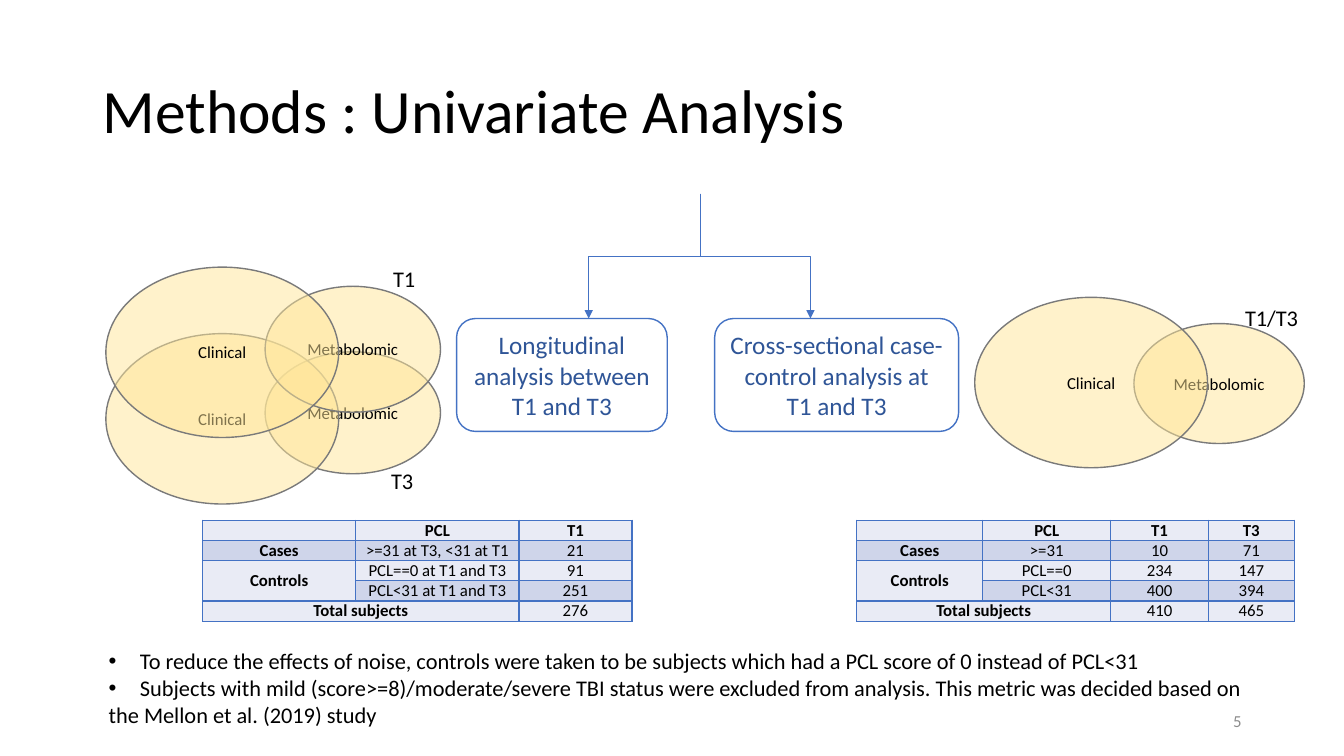
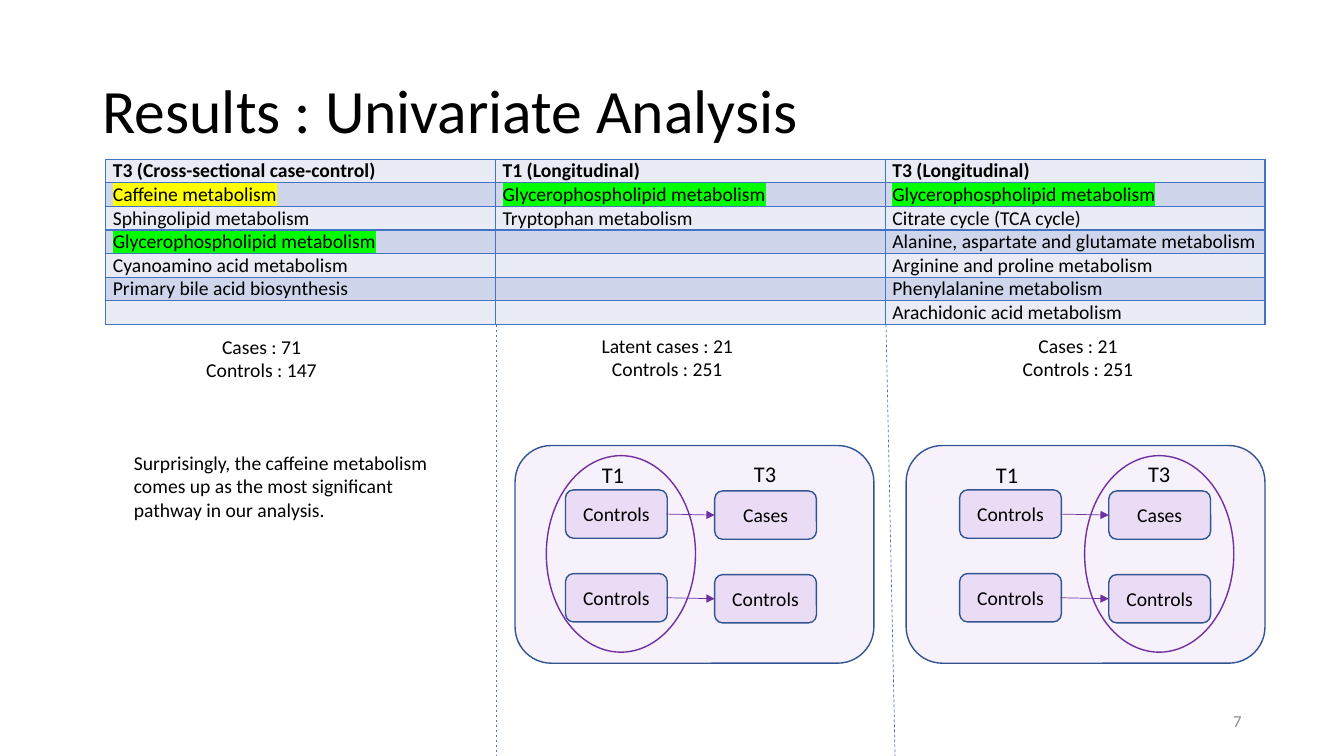
from lxml.etree import SubElement
from pptx import Presentation
from pptx.dml.color import RGBColor
from pptx.enum.dml import MSO_LINE
from pptx.enum.shapes import MSO_CONNECTOR, MSO_SHAPE
from pptx.enum.text import MSO_ANCHOR, PP_ALIGN
from pptx.oxml.ns import qn
from pptx.util import Inches, Pt

HUES = {
    "ink": "000000", "page": "8C8C8C", "blue": "4472C4", "deep": "2F5597",
    "gold": "FFE699", "gray": "7A7A7A", "pale": "E9EBF5", "band": "CFD5EA",
    "lilac": "EADCF4", "navy": "325491", "plum": "7030A0",
    "yellow": "FFFF00", "green": "00FF00",
}
LEFT, MID, RIGHT = PP_ALIGN.LEFT, PP_ALIGN.CENTER, PP_ALIGN.RIGHT


def hue(name):
    return RGBColor.from_string(HUES[name])


class Deck:
    """Draw styled elements on a grid of 80 columns by 45 rows."""

    def __init__(self):
        self.show = Presentation()
        self.show.slide_width = Inches(13.333)
        self.show.slide_height = Inches(7.5)
        self.slide = None

    def grid(self, *spans):
        units = self.show.slide_width / 80, self.show.slide_height / 45
        return [round(span * units[i % 2]) for i, span in enumerate(spans)]

    def page(self, title, number):
        self.slide = self.show.slides.add_slide(self.show.slide_layouts[5])
        head = self.slide.shapes.title
        head.left, head.top, head.width, head.height = self.grid(5.5, 2.4, 69, 8.7)
        self.label(head.text_frame, [title], 44, side=LEFT, lead=0.9)
        self.text((56.5, 41.7, 18, 2.4), [number], 12, "page", RIGHT,
                  wrap=True, anchor=MSO_ANCHOR.MIDDLE)

    def add(self, para, words, size, color="ink", bold=False, mark=None):
        run = para.add_run()
        run.text = words
        font = run.font
        font.name, font.size, font.bold = "Calibri", Pt(size), bold
        font.color.rgb = hue(color)
        if mark:
            props = run._r.get_or_add_rPr()
            light = SubElement(props, qn("a:highlight"))
            SubElement(light, qn("a:srgbClr"), val=HUES[mark])
            props.find(qn("a:solidFill")).addnext(light)

    def label(self, frame, lines, size, color="ink", side=MID, lead=None,
              wrap=True, anchor=MSO_ANCHOR.MIDDLE):
        frame.word_wrap, frame.vertical_anchor = wrap, anchor
        for i, words in enumerate(lines):
            para = frame.add_paragraph() if i else frame.paragraphs[0]
            para.alignment = side
            if lead:
                para.line_spacing = lead
            self.add(para, words, size, color)

    def text(self, box, lines, size, color="ink", side=MID, lead=None,
             wrap=False, anchor=MSO_ANCHOR.TOP):
        frame = self.slide.shapes.add_textbox(*self.grid(*box)).text_frame
        self.label(frame, lines, size, color, side, lead, wrap, anchor)
        return frame

    def bullet(self, para):
        props = para._p.get_or_add_pPr()
        props.set("marL", str(Inches(0.31)))
        props.set("indent", str(-Inches(0.31)))
        SubElement(props, qn("a:buFont"), typeface="Arial")
        SubElement(props, qn("a:buChar"), char="•")

    def shape(self, kind, box, edge, fill=None, alpha=None,
              words=None, size=14, color="ink"):
        item = self.slide.shapes.add_shape(kind, *self.grid(*box))
        item.shadow.inherit = False
        item.line.color.rgb, item.line.width = hue(edge), Pt(1)
        if fill:
            item.fill.solid()
            item.fill.fore_color.rgb = hue(fill)
        else:
            item.fill.background()
        if alpha:
            tint = item._element.spPr.find(qn("a:solidFill"))[0]
            SubElement(tint, qn("a:alpha"), val=str(alpha * 1000))
        if words:
            self.label(item.text_frame, [words], size, color)

    def line(self, ends, color, kind=MSO_CONNECTOR.STRAIGHT, arrow=True):
        item = self.slide.shapes.add_connector(kind, *self.grid(*ends))
        item.line.color.rgb, item.line.width = hue(color), Pt(0.5)
        if arrow:
            edge = item._element.spPr.find(qn("a:ln"))
            SubElement(edge, qn("a:tailEnd"), type="triangle")
        else:
            item.line.dash_style = MSO_LINE.DASH
        SubElement(item._element.spPr, qn("a:effectLst"))
        return item

    def elbow(self, x1, y1, x2, y2):
        side = 1 if x2 > x1 else -1
        midx, midy = (x1 + x2) / 2, (y1 + y2) / 2
        long, half = side * (y2 - y1) / 2, abs(x2 - x1) / 2
        item = self.line((midx + long, midy - half, midx - long, midy + half),
                         "blue", MSO_CONNECTOR.ELBOW)
        turn = 270 if side > 0 else 90
        item._element.spPr.find(qn("a:xfrm")).set("rot", str(turn * 60000))

    def table(self, spot, cols, row, cells, size, side=LEFT, stub=False, marks=None):
        box = self.grid(*spot, sum(cols), row * len(cells))
        table = self.slide.shapes.add_table(len(cells), len(cols), *box).table
        for col, wide in zip(table.columns, cols):
            col.width = self.grid(wide)[0]
        for r, words in enumerate(cells):
            table.rows[r].height = self.grid(0, row)[1]
            for c, word in enumerate(words):
                cell = table.cell(r, c)
                self.cell(cell, "band" if r % 2 else "pale")
                para = cell.text_frame.paragraphs[0]
                para.alignment = side
                if word:
                    bold = r == 0 or (stub and c == 0)
                    self.add(para, word, size, bold=bold, mark=(marks or {}).get(word))
                else:
                    SubElement(para._p, qn("a:endParaRPr"), sz=str(size * 100))
        return table

    def cell(self, cell, fill):
        cell.margin_left = cell.margin_right = Inches(0.07)
        cell.margin_top = cell.margin_bottom = 0
        cell.vertical_anchor = MSO_ANCHOR.MIDDLE
        props = cell._tc.get_or_add_tcPr()
        for edge in "LRTB":
            rule = SubElement(props, qn("a:ln" + edge), w=str(Pt(1)))
            paint = SubElement(rule, qn("a:solidFill"))
            SubElement(paint, qn("a:srgbClr"), val=HUES["blue"])
        cell.fill.solid()
        cell.fill.fore_color.rgb = hue(fill)

    def count(self, spot, cols, cells):
        table = self.table(spot, cols, 1.2, cells, 12, MID, stub=True)
        table.cell(2, 0).merge(table.cell(3, 0))
        table.cell(4, 0).merge(table.cell(4, 1))

    def venn(self, small, large, tag, words):
        for box, name in ((small, "Metabolomic"), (large, "Clinical")):
            self.shape(MSO_SHAPE.OVAL, box, "gray", "gold", 50, name, 12)
        self.text(tag, [words], 16, lead=1.07)

    def flow(self, left, ring):
        for words, x, y in (("T1", 1.56, 27.18), ("T3", 10.62, 27.12)):
            self.text((left + x, y, 2.52, 2.22), [words], 16)
        for i, last in enumerate(("Cases", "Controls")):
            top = 29.16 + 4.98 * i
            for words, x, y in (("Controls", 0, top), (last, 8.88, top + 0.06)):
                self.shape(MSO_SHAPE.ROUNDED_RECTANGLE, (left + x, y, 6.06, 2.88),
                           "navy", "lilac", words=words)
            self.line((left + 6, top + 1.44, left + 8.88, top + 1.5), "plum")
        self.shape(MSO_SHAPE.OVAL, (left + ring, 27.12, 8.88, 11.7), "plum")


deck = Deck()

deck.page("Methods : Univariate Analysis", "5")
for x in (48.24, 35.04):
    deck.elbow(41.7, 11.52, x, 18.96)
for x, wide, words in (
    (27.18, 12.54, "Longitudinal analysis between T1 and T3"),
    (42.54, 14.52, "Cross-sectional case-control analysis at T1 and T3"),
):
    deck.shape(MSO_SHAPE.ROUNDED_RECTANGLE, (x, 18.96, wide, 6.72), "blue",
               words=words, size=18, color="deep")
for small, spot, tag, words in (
    ((15.78, 20.94, 10.44, 7.26), (6.3, 19.86), (22.68, 27.42, 2.52, 2.28), "T3"),
    ((15.78, 17.04, 10.44, 7.5), (6.3, 15.9), (22.8, 15.36, 2.52, 3.24), "T1"),
    ((67.5, 19.26, 10.14, 7.14), (58.02, 17.7), (73.5, 17.7, 4.38, 2.28), "T1/T3"),
):
    deck.venn(small, (*spot, 13.86, 10.14), tag, words)
deck.count((12.06, 30.96), (9.12, 9.72, 6.72), [
    ("", "PCL", "T1"),
    ("Cases", ">=31 at T3, <31 at T1", "21"),
    ("Controls", "PCL==0 at T1 and T3", "91"),
    ("", "PCL<31 at T1 and T3", "251"),
    ("Total subjects", "", "276"),
])
deck.count((51, 30.96), (7.5, 7.62, 5.82, 5.1), [
    ("", "PCL", "T1", "T3"),
    ("Cases", ">=31", "10", "71"),
    ("Controls", "PCL==0", "234", "147"),
    ("", "PCL<31", "400", "394"),
    ("Total subjects", "", "410", "465"),
])
notes = deck.text((5.88, 38.22, 69.78, 5.46), [
    "To reduce the effects of noise, controls were taken to be subjects "
    "which had a PCL score of 0 instead of PCL<31",
    "Subjects with mild (score>=8)/moderate/severe TBI status were excluded "
    "from analysis. This metric was decided based on ",
    "the Mellon et al. (2019) study",
], 16, side=LEFT)
for para in notes.paragraphs[:2]:
    deck.bullet(para)

deck.page("Results : Univariate Analysis", "7")
for x in (53.94, 30.66):
    deck.shape(MSO_SHAPE.FLOWCHART_ALTERNATE_PROCESS, (x, 26.52, 21.36, 12.96),
               "navy", "lilac", 40)
lipid = "Glycerophospholipid metabolism"
deck.table((6.3, 9.48), (23.2, 23.2, 22.6), 1.4, [
    ("T3 (Cross-sectional case-control)", "T1 (Longitudinal)", "T3 (Longitudinal)"),
    ("Caffeine metabolism", lipid, lipid),
    ("Sphingolipid metabolism", "Tryptophan metabolism", "Citrate cycle (TCA cycle)"),
    (lipid, "", "Alanine, aspartate and glutamate metabolism"),
    ("Cyanoamino acid metabolism", "", "Arginine and proline metabolism"),
    ("Primary bile acid biosynthesis", "", "Phenylalanine metabolism"),
    ("", "", "Arachidonic acid metabolism"),
], 14, marks={"Caffeine metabolism": "yellow", lipid: "green"})
for x, y, wide, cases, total in (
    (11.64, 19.62, 7.86, "Cases : 71", 147),
    (35.16, 19.56, 9.12, "Latent cases : 21", 251),
    (60.24, 19.56, 7.86, "Cases : 21", 251),
):
    deck.text((x, y, wide, 3.42), [cases, f"Controls : {total}"], 14)
deck.flow(33.66, -1.14)
deck.flow(57.12, 7.44)
for x, end in ((29.52, 29.52), (52.74, 53.28)):
    deck.line((x, 19.32, end, 45), "blue", arrow=False)
deck.text((7.38, 26.52, 20.94, 4.86), [
    "Surprisingly, the caffeine metabolism comes up as the most significant "
    "pathway in our analysis.",
], 14, side=LEFT, wrap=True)

deck.show.save("out.pptx")
